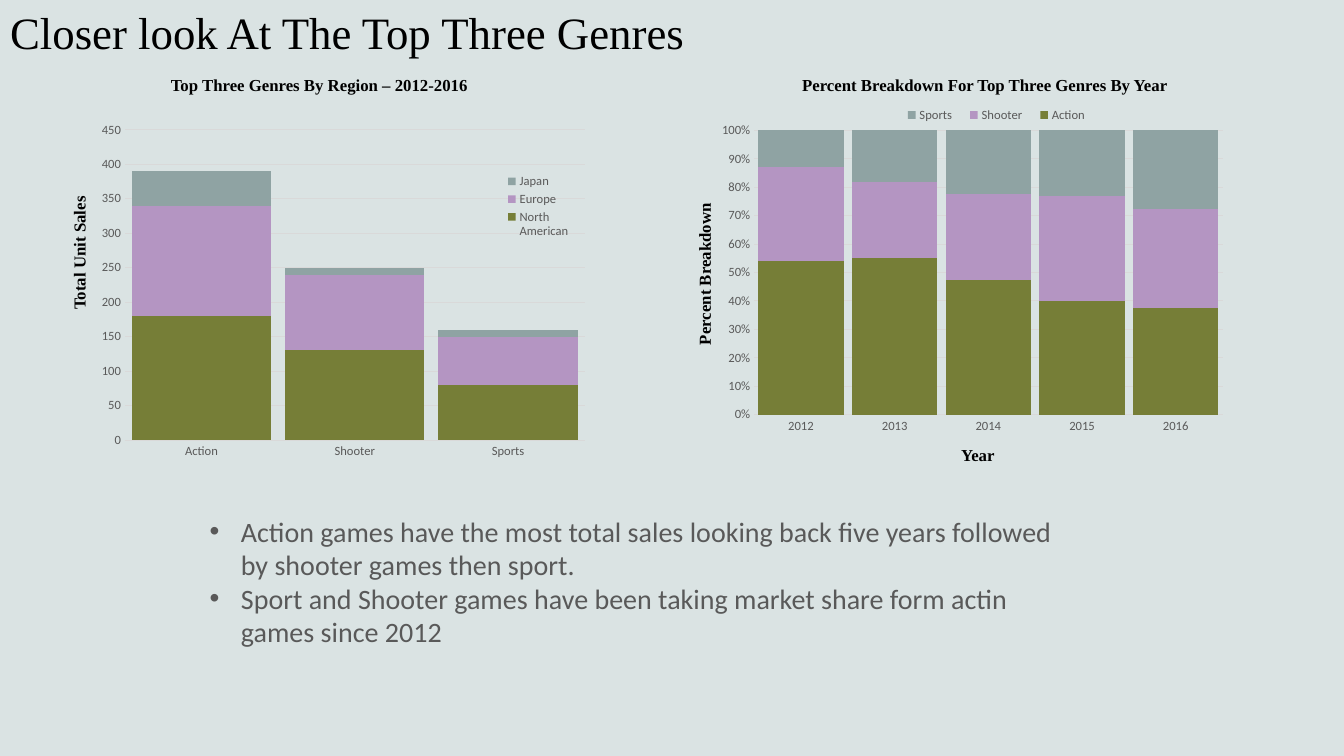
from pptx import Presentation
from pptx.chart.data import CategoryChartData
from pptx.dml.color import RGBColor
from pptx.enum.chart import XL_CHART_TYPE, XL_LEGEND_POSITION, XL_TICK_MARK
from pptx.enum.text import MSO_ANCHOR, MSO_AUTO_SIZE, PP_ALIGN
from pptx.oxml import parse_xml
from pptx.oxml.ns import nsdecls, qn
from pptx.util import Inches, Pt


def rgb(value):
    return RGBColor.from_string(value)


def set_layout(element, index, box, target=""):
    """Place a plot area or legend by shares of its chart."""
    for old in element.findall(qn("c:layout")):
        element.remove(old)
    sizes = "".join(f'<c:{tag} val="{v}"/>' for tag, v in zip("xywh", box))
    element.insert(index, parse_xml(
        f'<c:layout {nsdecls("c")}><c:manualLayout>{target}'
        f'<c:xMode val="edge"/><c:yMode val="edge"/>{sizes}'
        '</c:manualLayout></c:layout>'))


class SlideBuilder:
    """Holds the style and current slide; boxes are percentages of its size."""

    SERIF, SANS = "Times New Roman", "Calibri"
    INK, GREY, RULE, BACK = "000000", "595959", "D9D9D9", "DAE3E3"
    SERIES = ("767E37", "B495C2", "8FA3A3")

    def __init__(self, prs):
        self.prs = prs
        self.s = prs.slides.add_slide(prs.slide_layouts[1])
        self.s.background.fill.solid()
        self.s.background.fill.fore_color.rgb = rgb(self.BACK)

    def box(self, left, top, width, height):
        w, h = self.prs.slide_width, self.prs.slide_height
        return [int(share * size / 100) for share, size in
                ((left, w), (top, h), (width, w), (height, h))]

    def font(self, font, size, name, color, bold=False):
        font.size, font.name, font.bold = Pt(size), name, bold
        font.color.rgb = rgb(color)

    def fill_text(self, sp, text, size, name, color, align, bold=False):
        tf = sp.text_frame
        tf.text = text
        tf.word_wrap = True
        tf.auto_size = MSO_AUTO_SIZE.NONE
        tf.vertical_anchor = MSO_ANCHOR.TOP
        for p in tf.paragraphs:
            p.alignment = align
            for r in p.runs:
                self.font(r.font, size, name, color, bold)
        return tf

    def move(self, sp, box):
        sp.left, sp.top, sp.width, sp.height = self.box(*box)

    def title(self, text, box):
        sp = self.s.shapes.title
        self.move(sp, box)
        self.fill_text(sp, text, 32, self.SERIF, self.INK, PP_ALIGN.LEFT)

    def bullets(self, items, box):
        sp = self.s.placeholders[1]
        self.move(sp, box)
        tf = self.fill_text(sp, "\n".join(items), 20, self.SANS, self.GREY,
                            PP_ALIGN.LEFT)
        tf.auto_size = MSO_AUTO_SIZE.SHAPE_TO_FIT_TEXT
        for p in tf.paragraphs:
            p.space_before = Pt(0)
            pPr = p._p.get_or_add_pPr()
            pPr.set("marL", str(Inches(0.31)))
            pPr.set("indent", str(-Inches(0.31)))

    def label(self, text, box, rotation=0):
        sp = self.s.shapes.add_textbox(*self.box(*box))
        sp.rotation = rotation
        self.fill_text(sp, text, 12, self.SERIF, self.INK, PP_ALIGN.CENTER, True)

    def chart(self, kind, cats, series, box, plot_box, legend_box,
              number_format, top=None, step=None):
        data = CategoryChartData()
        data.categories = cats
        for name, values in series:
            data.add_series(name, values)
        chart = self.s.shapes.add_chart(kind, *self.box(*box), data).chart
        chart.has_title = False
        self.font(chart.font, 10, self.SANS, self.INK)

        plot = chart.plots[0]
        plot.gap_width, plot.overlap = 10, 100
        plot.vary_by_categories = False
        for ser, color in zip(plot.series, self.SERIES):
            ser.format.fill.solid()
            ser.format.fill.fore_color.rgb = rgb(color)

        cat, val = chart.category_axis, chart.value_axis
        for axis in (cat, val):
            axis.major_tick_mark = axis.minor_tick_mark = XL_TICK_MARK.NONE
            self.font(axis.tick_labels.font, 9, self.SANS, self.GREY)
        val.has_major_gridlines = True
        for line in (cat.format.line, val.major_gridlines.format.line):
            line.color.rgb = rgb(self.RULE)
            line.width = Pt(0.75)
        val.format.line.fill.background()
        val.tick_labels.number_format = number_format
        val.tick_labels.number_format_is_linked = False
        val.minimum_scale, val.maximum_scale, val.major_unit = 0, top, step

        chart.has_legend = True
        legend = chart.legend
        legend.position = XL_LEGEND_POSITION.RIGHT
        legend.include_in_layout = False
        self.font(legend.font, 9, self.SANS, self.GREY)
        set_layout(legend._element, 1, legend_box)
        set_layout(plot._element.getparent(), 0, plot_box,
                   '<c:layoutTarget val="inner"/>')


def main():
    prs = Presentation()
    prs.slide_width, prs.slide_height = Inches(13.33), Inches(7.5)
    b = SlideBuilder(prs)

    b.title("Closer look At The Top Three Genres", (0, 0, 100, 21.07))
    b.bullets(
        ("Action games have the most total sales looking back five years "
         "followed by shooter games then sport.",
         "Sport and Shooter games have been taking market share form actin "
         "games since 2012"),
        (14.85, 67.33, 65.19, 41.73))

    b.chart(XL_CHART_TYPE.COLUMN_STACKED, ("Action", "Shooter", "Sports"),
            (("North American", (180, 130, 80)),
             ("Europe", (160, 110, 70)),
             ("Japan", (50, 10, 10))),
            (7.58, 11.73, 38.63, 49.47), (0.04, 0.11, 0.89, 0.83),
            (0.76, 0.22, 0.16, 0.19), "General", 450, 50)
    b.chart(XL_CHART_TYPE.COLUMN_STACKED_100,
            ("2012", "2013", "2014", "2015", "2016"),
            (("Action", (54, 55, 47, 40, 38)),
             ("Shooter", (33, 27, 30, 37, 35)),
             ("Sports", (13, 18, 22, 23, 28))),
            (53.71, 12.27, 40.06, 45.33), (0.06, 0.11, 0.87, 0.83),
            (0.32, 0.03, 0.38, 0.07), "0%")

    for text, left, top in (
            ("Top Three Genres By Region – 2012-2016", -0.98, 9.2),
            ("Percent Breakdown For Top Three Genres By Year", 48.54, 9.2),
            ("Year", 48.01, 58.13)):
        b.label(text, (left, top, 49.5, 6.8))
    for text, left, top in (("Total Unit Sales", -2.03, 30.13),
                            ("Percent Breakdown", 44.49, 32.93)):
        b.label(text, (left, top, 17.33, 6.67), 270)

    prs.save("out.pptx")


if __name__ == "__main__":
    main()
